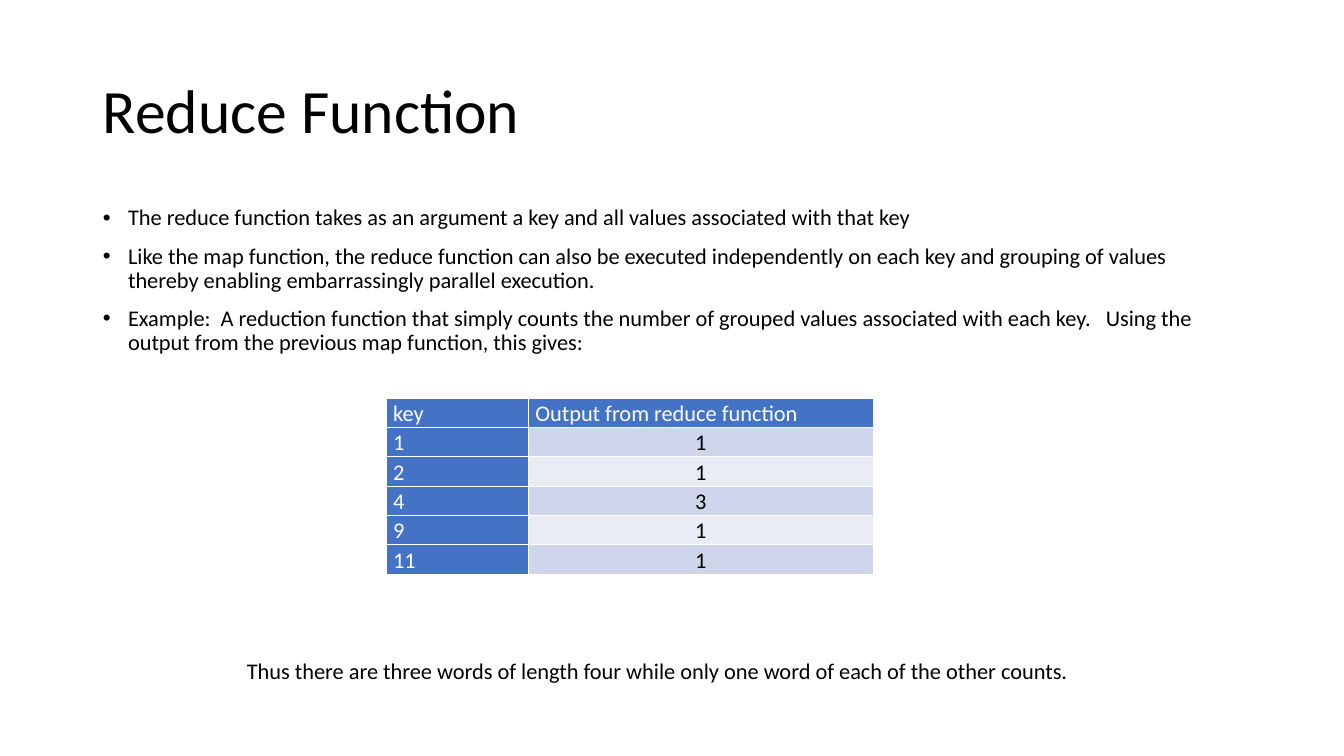
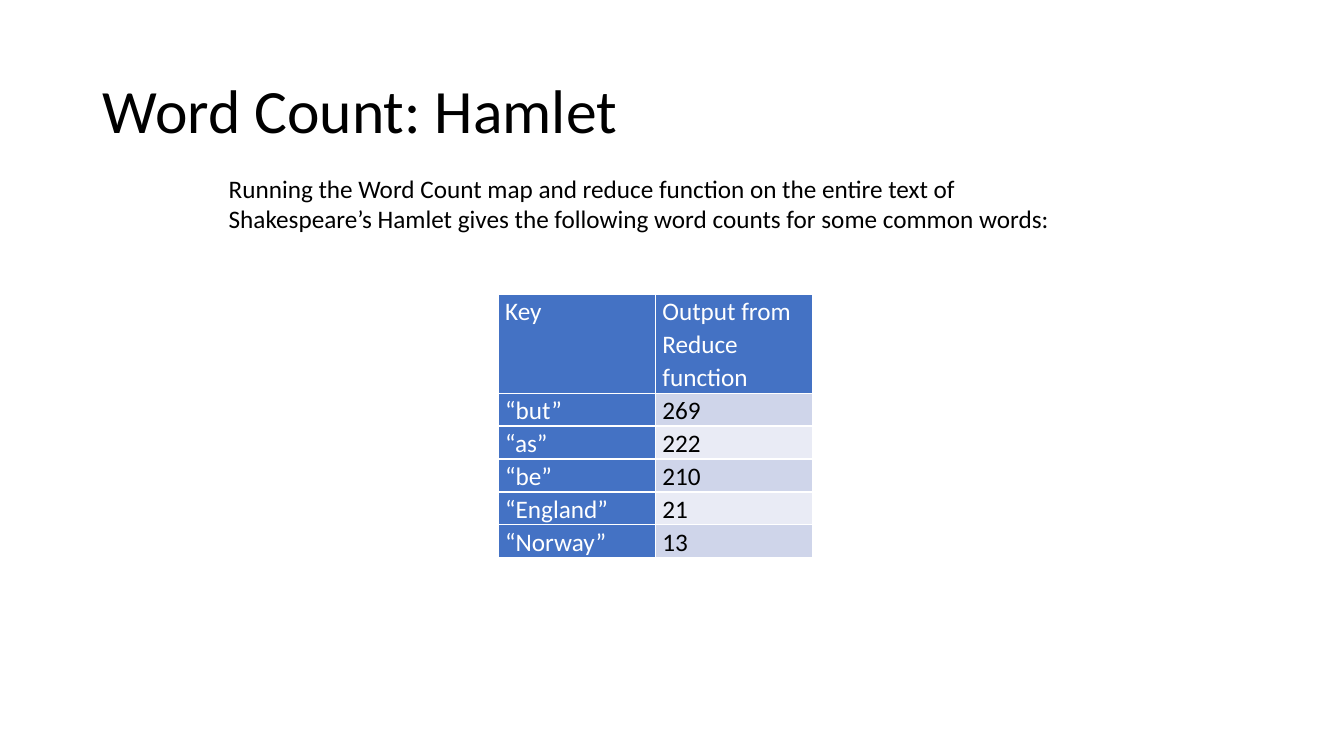
from pptx import Presentation
from pptx.dml.color import RGBColor
from pptx.enum.text import MSO_ANCHOR, MSO_AUTO_SIZE, PP_ALIGN
from pptx.util import Inches, Pt

LEFT, CENTER = PP_ALIGN.LEFT, PP_ALIGN.CENTER
TOP, MIDDLE = MSO_ANCHOR.TOP, MSO_ANCHOR.MIDDLE
NO_FIT = MSO_AUTO_SIZE.NONE
BLACK = RGBColor(0x00, 0x00, 0x00)
WHITE = RGBColor(0xFF, 0xFF, 0xFF)
BLUE = RGBColor(0x44, 0x72, 0xC4)
BANDS = RGBColor(0xCF, 0xD5, 0xEA), RGBColor(0xE9, 0xEB, 0xF5)
FONT = "Calibri"
TITLE_BOX = (0.92, 0.4, 11.5, 1.45)
BODY_BOX = (0.92, 2, 11.5, 4.76)
TITLE_AND_BODY, TITLE_ONLY = 1, 5

# Content
SLIDES = [
    {
        "title": "Reduce Function",
        "bullets": [
            "The reduce function takes as an argument a key and all values associated with that key",
            "Like the map function, the reduce function can also be executed independently on each key "
            "and grouping of values thereby enabling embarrassingly parallel execution.",
            "Example:  A reduction function that simply counts the number of grouped values associated "
            "with each key.   Using the output from the previous map function, this gives:",
        ],
        "rows": [("key", "Output from reduce function"),
                 ("1", "1"), ("2", "1"), ("4", "3"), ("9", "1"), ("11", "1")],
        "table": {"at": (3.83, 3.95), "cols": (1.41, 3.42), "header": 0.29, "row": 0.29,
                  "align": CENTER},
        "note": "Thus there are three words of length four while only one word of each of the other counts.",
        "note_box": (2.35, 6.47, 8.5, 0.37),
        "size": 16,
    },
    {
        "title": "Word Count: Hamlet",
        "bullets": [],
        "rows": [("Key", "Output from Reduce function"),
                 ("“but”", "269"), ("“as”", "222"), ("“be”", "210"),
                 ("“England”", "21"), ("“Norway”", "13")],
        "table": {"at": (4.94, 2.92), "cols": (1.56, 1.56), "header": 0.98, "row": 0.32,
                  "align": LEFT},
        "note": "Running the Word Count map and reduce function on the entire text of Shakespeare’s "
                "Hamlet gives the following word counts for some common words:",
        "note_box": (2.17, 1.67, 8.67, 0.71),
        "size": 18,
    },
]


# Shared text and placement helpers
def write(p, text, size, color=BLACK, **layout):
    for name, value in layout.items():
        setattr(p, name, value)
    r = p.add_run()
    r.text = text
    for name, value in {"name": FONT, "size": Pt(size), "bold": False}.items():
        setattr(r.font, name, value)
    r.font.color.rgb = color


def place(sp, box, anchor):
    sp.left, sp.top, sp.width, sp.height = map(Inches, box)
    tf = sp.text_frame
    for name, value in {"word_wrap": True, "auto_size": NO_FIT, "vertical_anchor": anchor}.items():
        setattr(tf, name, value)
    return tf


def add_bullets(body, bullets, size):
    tf = place(body, BODY_BOX, TOP)
    for i, text in enumerate(bullets):
        p = tf.add_paragraph() if i else tf.paragraphs[0]
        pPr = p._p.get_or_add_pPr()
        pPr.set("marL", str(Inches(0.25)))
        pPr.set("indent", str(-Inches(0.25)))
        write(p, text, size, line_spacing=0.9, space_before=Pt(10 if i else 0))


def add_table(s, rows, size, at, cols, header, row, align):
    heights = [header] + [row] * (len(rows) - 1)
    box = (*at, sum(cols), sum(heights))
    table = s.shapes.add_table(len(rows), len(cols), *map(Inches, box)).table
    table.first_col = True
    for column, width in zip(table.columns, cols):
        column.width = Inches(width)
    for i, (values, height) in enumerate(zip(rows, heights)):
        table.rows[i].height = Inches(height)
        for j, text in enumerate(values):
            cell = table.cell(i, j)
            cell.margin_left = cell.margin_right = Inches(0.07)
            cell.margin_top = cell.margin_bottom = 0
            heading = i == 0 or j == 0
            cell.fill.solid()
            cell.fill.fore_color.rgb = BLUE if heading else BANDS[(i - 1) % 2]
            write(cell.text_frame.paragraphs[0], text, size, WHITE if heading else BLACK,
                  alignment=LEFT if heading else align, line_spacing=1.07)


# Slides
prs = Presentation()
prs.slide_width, prs.slide_height = Inches(13.33), Inches(7.5)
for item in SLIDES:
    size, bullets = item["size"], item["bullets"]
    s = prs.slides.add_slide(prs.slide_layouts[TITLE_AND_BODY if bullets else TITLE_ONLY])
    tf = place(s.shapes.title, TITLE_BOX, MIDDLE)
    write(tf.paragraphs[0], item["title"], 44, alignment=LEFT, line_spacing=0.9)
    if bullets:
        add_bullets(s.placeholders[1], bullets, size)
    add_table(s, item["rows"], size, **item["table"])
    note = s.shapes.add_textbox(0, 0, 0, 0)
    write(place(note, item["note_box"], TOP).paragraphs[0], item["note"], size)
prs.save("out.pptx")
